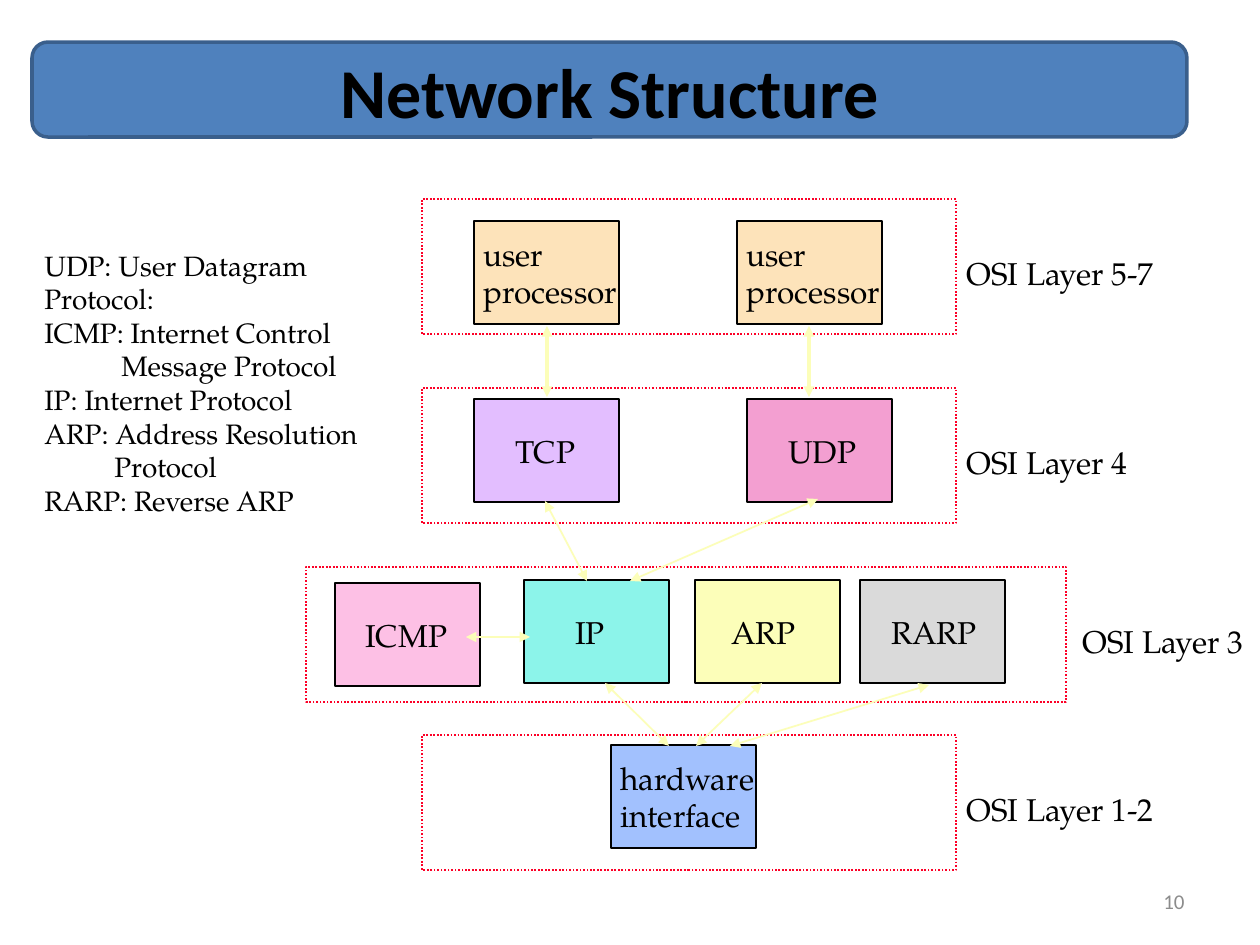
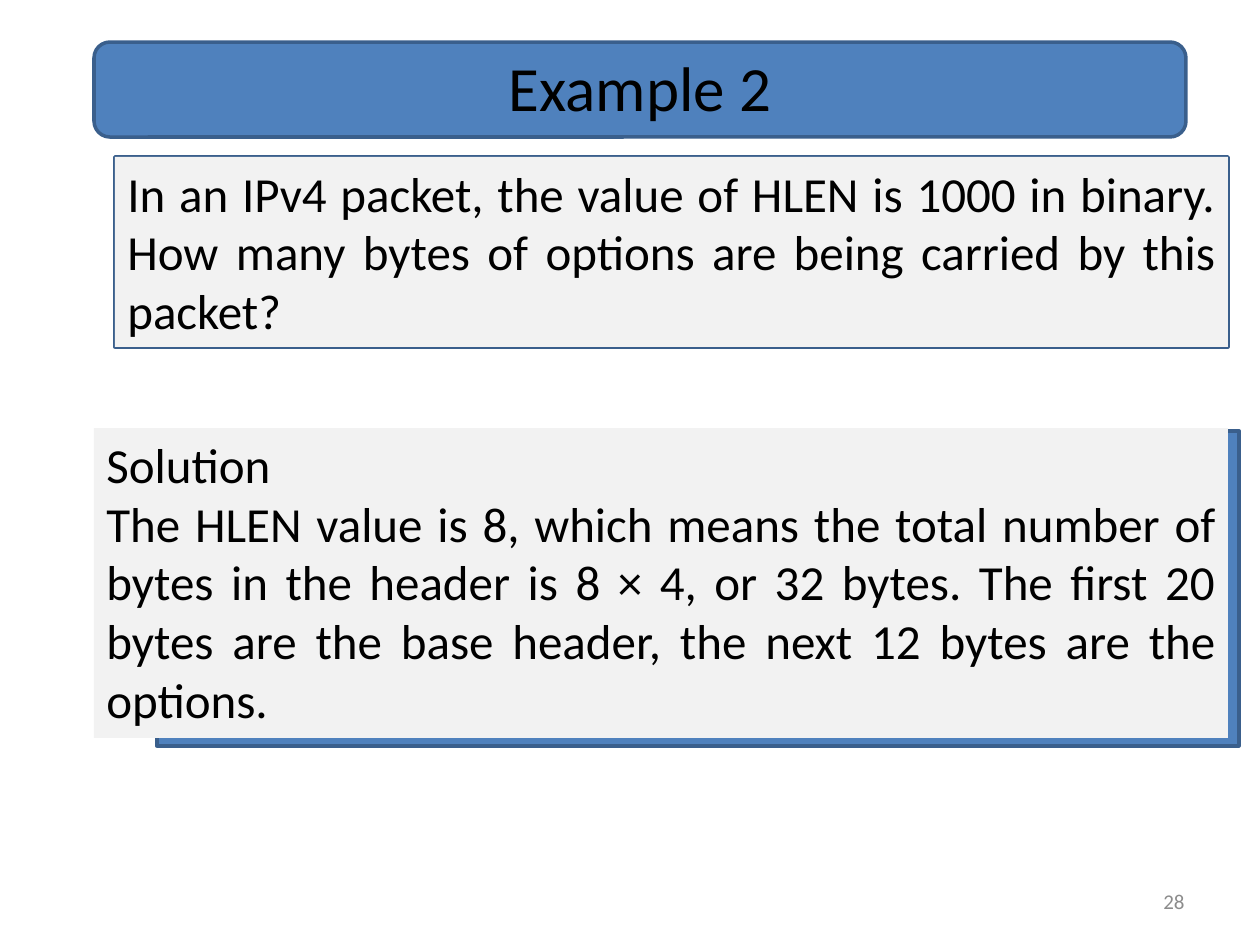
from collections import namedtuple

from lxml import etree
from pptx import Presentation
from pptx.dml.color import RGBColor
from pptx.enum.dml import MSO_LINE
from pptx.enum.shapes import MSO_CONNECTOR, MSO_SHAPE
from pptx.enum.text import MSO_ANCHOR, PP_ALIGN
from pptx.oxml.ns import qn
from pptx.util import Pt

PIXEL = 914400 / 126  # EMU in one pixel
RECT, ROUNDED = MSO_SHAPE.RECTANGLE, MSO_SHAPE.ROUNDED_RECTANGLE
STRAIGHT, DOTTED = MSO_CONNECTOR.STRAIGHT, MSO_LINE.ROUND_DOT
TOP, MIDDLE = MSO_ANCHOR.TOP, MSO_ANCHOR.MIDDLE
LEFT, CENTER, RIGHT, JUSTIFY = (
    PP_ALIGN.LEFT, PP_ALIGN.CENTER, PP_ALIGN.RIGHT, PP_ALIGN.JUSTIFY)
SANS, SERIF = "Calibri", "TeX Gyre Pagella"

COLOURS = {
    "ink": "000000", "band": "4F81BD", "band edge": "3A5F8C",
    "panel": "F2F2F2", "number": "8C8C8C", "layer": "FC0128",
    "arrow": "FCFEB9", "user": "FDE3BA", "tcp": "E3BEFF", "udp": "F39FD1",
    "icmp": "FDC0E5", "ip": "8CF4EA", "arp": "FCFEB9", "rarp": "DADADA",
    "hardware": "A2C1FE",
}

Box = namedtuple("Box", "left top width height")
NUMBER_BOX = Box(903, 876, 294, 50)
NODE_WIDTH, NODE_HEIGHT = 145, 103
LAYER_HEIGHT = 135

# label, left, top, width, label left
LAYERS = [
    ("OSI Layer 5-7", 422, 199, 534, 954),
    ("OSI Layer 4", 422, 388, 534, 954),
    ("OSI Layer 3", 306, 567, 760, 1070),
    ("OSI Layer 1-2", 422, 735, 534, 954),
]

# lines, colour, left, top, label offset, label width
NODES = [
    (["user", "processor"], "user", 474, 221, -3, 161),
    (["user", "processor"], "user", 737, 221, -3, 161),
    (["TCP"], "tcp", 474, 399, 29, 87),
    (["UDP"], "udp", 747, 399, 29, 93),
    (["ICMP"], "icmp", 335, 583, 18, 108),
    (["IP"], "ip", 524, 580, 39, 55),
    (["ARP"], "arp", 695, 580, 24, 91),
    (["RARP"], "rarp", 860, 580, 19, 112),
    (["hardware", "interface"], "hardware", 611, 745, -3, 161),
]

# start, end, line width in points
ARROWS = [
    ((547, 326), (547, 397), 2),
    ((809, 326), (809, 397), 2),
    ((545, 501), (587, 581), 1),
    ((818, 499), (630, 581), 1),
    ((466, 637), (530, 637), 1),
    ((605, 683), (669, 746), 1),
    ((762, 683), (696, 746), 1),
    ((929, 685), (730, 746), 1),
]

# text, left indent
GLOSSARY = [
    ("UDP: User Datagram Protocol:", 0),
    ("ICMP: Internet Control", 0),
    ("Message Protocol", 77),
    ("IP: Internet Protocol", 0),
    ("ARP: Address Resolution", 0),
    ("Protocol", 70),
    ("RARP: Reverse ARP", 0),
]

QUESTION = ["In an IPv4 packet, the value of HLEN is 1000 in binary. "
            "How many bytes of options are being carried by this packet?"]
SOLUTION = ["Solution",
            "The HLEN value is 8, which means the total number of bytes in "
            "the header is 8 × 4, or 32 bytes. The first 20 bytes are the "
            "base header, the next 12 bytes are the options."]


def emu(pixels):
    """Turn pixels into EMU."""
    return round(pixels * PIXEL)


def colour(name):
    """Look up a named colour."""
    return RGBColor.from_string(COLOURS[name])


def add_block(page, box, fill=None, edge=None, weight=1, kind=RECT):
    """Add a preset shape with an optional fill and outline."""
    block = page.shapes.add_shape(kind, *map(emu, box))
    block.shadow.inherit = False
    if fill:
        block.fill.solid()
        block.fill.fore_color.rgb = colour(fill)
    else:
        block.fill.background()
    if edge:
        block.line.color.rgb = colour(edge)
        block.line.width = Pt(weight)
    else:
        block.line.fill.background()
    return block


def add_text(page, box, lines, size, font=SANS, align=LEFT, ink="ink",
             bold=False, wrap=True, anchor=TOP, fill=None):
    """Add a text box with one paragraph for each line."""
    text_box = page.shapes.add_textbox(*map(emu, box))
    if fill:
        text_box.fill.solid()
        text_box.fill.fore_color.rgb = colour(fill)
    frame = text_box.text_frame
    frame.word_wrap = wrap
    frame.vertical_anchor = anchor
    for index, line in enumerate(lines):
        para = frame.add_paragraph() if index else frame.paragraphs[0]
        para.alignment = align
        span = para.add_run()
        span.text = line
        span.font.size = Pt(size)
        span.font.name = font
        span.font.bold = bold
        span.font.color.rgb = colour(ink)
    return frame


def add_title(page, box, title, size, bold=False):
    """Add the rounded title band and its centred title."""
    add_block(page, box, "band", "band edge", 2, ROUNDED)
    add_text(page, box, [title], size, align=CENTER, bold=bold)


def add_number(page, number):
    """Add the page number at the lower right."""
    add_text(page, NUMBER_BOX, [number], 12, align=RIGHT, ink="number",
             anchor=MIDDLE)


def add_arrow(page, start, end, weight):
    """Add a line with an arrowhead at both ends."""
    arrow = page.shapes.add_connector(STRAIGHT, *map(emu, start + end))
    arrow.line.color.rgb = colour("arrow")
    arrow.line.width = Pt(weight)
    outline = arrow.line._get_or_add_ln()
    for end_name in ("a:headEnd", "a:tailEnd"):
        etree.SubElement(outline, qn(end_name), type="triangle")
    etree.SubElement(outline.getparent(), qn("a:effectLst"))


def add_layer(page, box, label, label_left):
    """Add a dotted layer frame with its label on the right."""
    add_block(page, box, edge="layer").line.dash_style = DOTTED
    add_text(page, Box(label_left, box.top + 49, 216, 50), [label], 18,
             SERIF, wrap=False)


def add_node(page, box, lines, fill, label_offset, label_width):
    """Add a protocol node with its vertically centred label."""
    add_block(page, box, fill, "ink")
    label_height = 12 + 38 * len(lines)
    label_top = box.top + (box.height - label_height) / 2
    label_box = Box(box.left + label_offset, label_top, label_width,
                    label_height)
    add_text(page, label_box, lines, 18, SERIF, wrap=False)


def add_glossary(page, box):
    """Add the list of abbreviations with indented second lines."""
    frame = add_text(page, box, [line for line, _ in GLOSSARY], 16, SERIF)
    for para, (_, indent) in zip(frame.paragraphs, GLOSSARY):
        if indent:
            para._p.get_or_add_pPr().set("marL", str(emu(indent)))


def add_panel(page, box, back, lines):
    """Add a grey text panel over a blue backing block."""
    add_block(page, back, "band", "band edge", 2)
    add_text(page, box, lines, 28, align=JUSTIFY, fill="panel")


def build_structure(page):
    """Build the network structure diagram."""
    add_title(page, Box(32, 42, 1155, 95), "Network Structure", 40, True)
    for label, left, top, width, label_left in LAYERS:
        add_layer(page, Box(left, top, width, LAYER_HEIGHT), label,
                  label_left)
    for lines, fill, left, top, offset, width in NODES:
        add_node(page, Box(left, top, NODE_WIDTH, NODE_HEIGHT), lines, fill,
                 offset, width)
    for start, end, weight in ARROWS:
        add_arrow(page, start, end, weight)
    add_glossary(page, Box(32, 242, 388, 284))
    add_number(page, "10")


def build_example(page):
    """Build the worked example with a question and its solution."""
    add_title(page, Box(94, 42, 1092, 95), "Example 2", 36)
    question_box = Box(115, 157, 1113, 190)
    add_panel(page, question_box, question_box, QUESTION)
    add_panel(page, Box(94, 428, 1134, 310), Box(157, 431, 1082, 315),
              SOLUTION)
    add_number(page, "28")


def main():
    """Build and save the deck."""
    deck = Presentation()
    deck.slide_width, deck.slide_height = emu(1260), emu(945)
    blank = deck.slide_layouts[6]
    for build in (build_structure, build_example):
        build(deck.slides.add_slide(blank))
    deck.save("out.pptx")


main()
